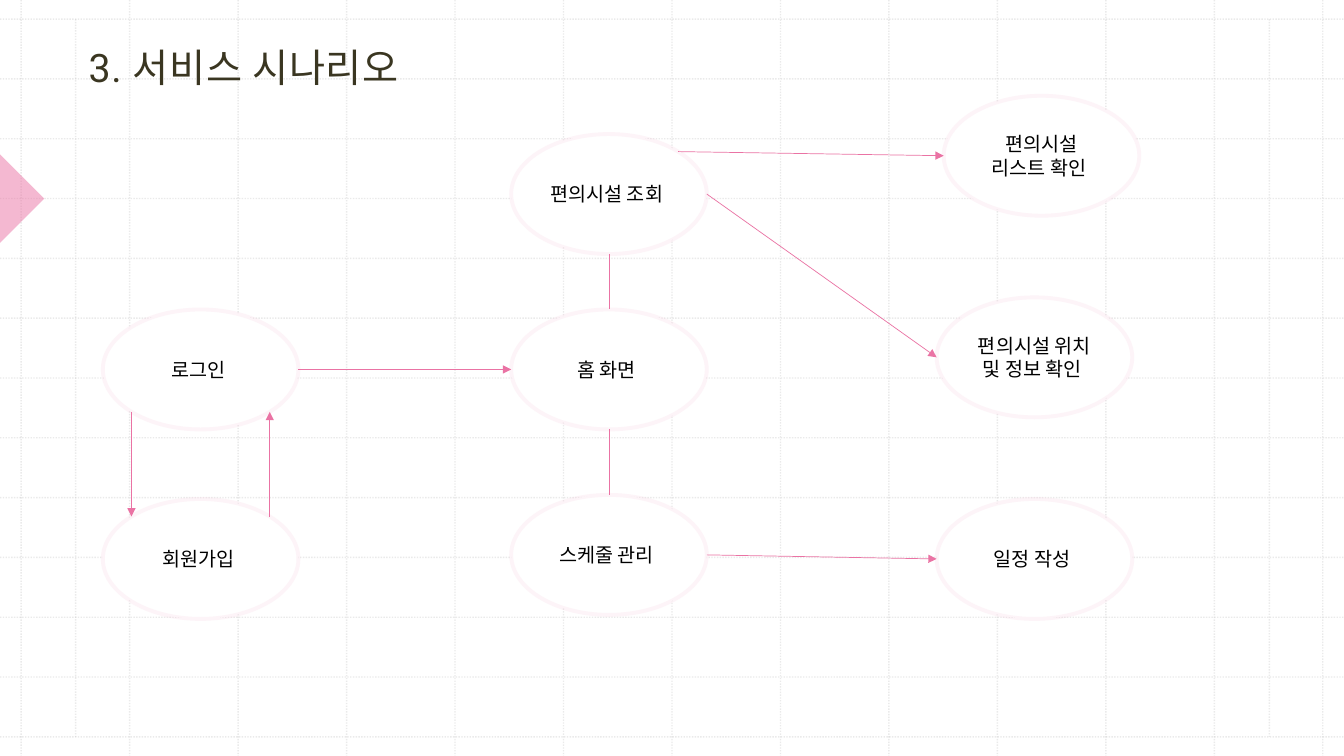
import math
from dataclasses import dataclass
from enum import IntEnum
from typing import Any, Optional

import pptx
import pptx.dml.color
import pptx.enum.dml
import pptx.enum.shapes
import pptx.enum.text
import pptx.oxml
import pptx.oxml.ns
import pptx.util
from lxml import etree

Inches = pptx.util.Inches
Pt = pptx.util.Pt
qn = pptx.oxml.ns.qn
Align = pptx.enum.text.PP_ALIGN
Anchor = pptx.enum.text.MSO_ANCHOR
Preset = pptx.enum.shapes.MSO_SHAPE


@dataclass(frozen=True)
class Theme:
    font: str = "Roboto"
    title_size: float = 28
    step_size: float = 14
    title: str = "3A3621"
    step_text: str = "000000"
    step_fill: str = "FFFFFF"
    step_edge: str = "F9D5E4"
    accent: str = "EA73A4"
    grid: str = "BCBCBC"


THEME = Theme()
SLIDE_WIDTH, SLIDE_HEIGHT = 13.33, 7.5
STEP_WIDTH, STEP_HEIGHT = 1.94, 1.19


class Site(IntEnum):
    TOP = 0
    TOP_LEFT = 1
    LEFT = 2
    BOTTOM_LEFT = 3
    BOTTOM = 4
    BOTTOM_RIGHT = 5
    RIGHT = 6
    TOP_RIGHT = 7


@dataclass(frozen=True)
class Step:
    text: str
    left: float
    top: float

    def point(self, site: Site) -> tuple[float, float]:
        angle = site * math.pi / 4
        return (self.left + STEP_WIDTH / 2 * (1 - math.sin(angle)),
                self.top + STEP_HEIGHT / 2 * (1 - math.cos(angle)))


@dataclass(frozen=True)
class Flow:
    source: str
    source_site: Site
    target: str
    target_site: Site
    arrow: bool = True


STEPS = {
    "login": Step("로그인 ", 1.02, 3.07),
    "signup": Step("회원가입 ", 1.02, 4.95),
    "home": Step("홈 화면 ", 5.07, 3.07),
    "search": Step("편의시설 조회 ", 5.07, 1.33),
    "location": Step("편의시설 위치 및 정보 확인 ", 9.29, 2.95),
    "list": Step("편의시설 리스트 확인 ", 9.36, 0.95),
    "schedule": Step("스케줄 관리 ", 5.07, 4.91),
    "entry": Step("일정 작성 ", 9.29, 4.95),
}

FLOWS = [
    Flow("login", Site.RIGHT, "home", Site.LEFT),
    Flow("login", Site.BOTTOM_LEFT, "signup", Site.TOP_LEFT),
    Flow("signup", Site.TOP_RIGHT, "login", Site.BOTTOM_RIGHT),
    Flow("schedule", Site.RIGHT, "entry", Site.LEFT),
    Flow("search", Site.RIGHT, "location", Site.LEFT),
    Flow("search", Site.TOP_RIGHT, "list", Site.LEFT),
    Flow("search", Site.BOTTOM, "home", Site.TOP, arrow=False),
    Flow("home", Site.BOTTOM, "schedule", Site.TOP, arrow=False),
]


def rgb(color: str) -> pptx.dml.color.RGBColor:
    return pptx.dml.color.RGBColor.from_string(color)


def set_opacity(shape: Any, percent: int) -> None:
    color = next(shape._element.spPr.iter(qn("a:srgbClr")))
    etree.SubElement(color, qn("a:alpha"), val=str(percent * 1000))


def write_text(shape: Any, text: str, *, size: float, color: str,
               align: Any = Align.LEFT, anchor: Any = Anchor.MIDDLE,
               insets: tuple[float, float, float, float] = (0.1, 0.05, 0.1, 0.05),
               line_spacing: Optional[float] = None, tracking: float = 0) -> None:
    frame = shape.text_frame
    frame.word_wrap = True
    frame.vertical_anchor = anchor
    (frame.margin_left, frame.margin_top,
     frame.margin_right, frame.margin_bottom) = map(Inches, insets)
    paragraph = frame.paragraphs[0]
    paragraph.alignment = align
    paragraph.line_spacing = line_spacing
    run = paragraph.add_run()
    run.text = text
    run.font.name = THEME.font
    run.font.size = Pt(size)
    run.font.color.rgb = rgb(color)
    if tracking:
        run.font._element.set("spc", str(round(tracking * 100)))


def draw_line(slide: Any, start: tuple[float, float], end: tuple[float, float],
              color: str, width: float) -> Any:
    line = slide.shapes.add_connector(
        pptx.enum.shapes.MSO_CONNECTOR.STRAIGHT,
        *map(Inches, (*start, *end)))
    line.line.color.rgb = rgb(color)
    line.line.width = Pt(width)
    etree.SubElement(line._element.spPr, qn("a:effectLst"))
    return line


def draw_grid(slide: Any) -> None:
    columns = [0.21 + i * 12.91 / 12 for i in range(13)]
    rows = [0.19 + i * 7.12 / 12 for i in range(13)]
    ends = [((x, 0), (x, SLIDE_HEIGHT)) for x in columns]
    ends += [((0, y), (SLIDE_WIDTH, y)) for y in rows]
    ends += [((x, rows[0]), (x, rows[-1])) for x in (0.75, 12.59)]
    for start, end in ends:
        rule = draw_line(slide, start, end, THEME.grid, 1)
        rule.line.dash_style = pptx.enum.dml.MSO_LINE.ROUND_DOT
        set_opacity(rule, 30)


def draw_marker(slide: Any) -> None:
    marker = slide.shapes.add_shape(
        Preset.RIGHT_TRIANGLE, *map(Inches, (-0.31, 1.66, 0.62, 0.62)))
    marker.rotation = 225
    marker.shadow.inherit = False
    marker.fill.solid()
    marker.fill.fore_color.rgb = rgb(THEME.accent)
    marker.line.fill.background()
    set_opacity(marker, 50)


def draw_step(slide: Any, step: Step) -> Any:
    oval = slide.shapes.add_shape(
        Preset.OVAL, *map(Inches, (step.left, step.top, STEP_WIDTH, STEP_HEIGHT)))
    oval.shadow.inherit = False
    oval.line.color.rgb = rgb(THEME.step_edge)
    oval.line.width = Pt(2.75)
    set_opacity(oval, 25)
    oval.fill.solid()
    oval.fill.fore_color.rgb = rgb(THEME.step_fill)
    write_text(oval, step.text, size=THEME.step_size, color=THEME.step_text,
               align=Align.CENTER)
    return oval


def draw_flow(slide: Any, flow: Flow, ovals: dict[str, Any]) -> None:
    link = draw_line(slide, STEPS[flow.source].point(flow.source_site),
                     STEPS[flow.target].point(flow.target_site), THEME.accent, 0.5)
    glue = link._element.find(".//" + qn("p:cNvCxnSpPr"))
    for tag, step, site in (("a:stCxn", flow.source, flow.source_site),
                            ("a:endCxn", flow.target, flow.target_site)):
        etree.SubElement(glue, qn(tag), id=str(ovals[step].shape_id),
                         idx=str(int(site)))
    if flow.arrow:
        outline = link._element.spPr.find(qn("a:ln"))
        etree.SubElement(outline, qn("a:tailEnd"), type="triangle")


def main() -> None:
    deck = pptx.Presentation()
    deck.slide_width, deck.slide_height = Inches(SLIDE_WIDTH), Inches(SLIDE_HEIGHT)
    slide = deck.slides.add_slide(deck.slide_layouts[6])
    draw_grid(slide)
    draw_marker(slide)
    title = slide.shapes.add_textbox(*map(Inches, (0.76, 0.15, 11.29, 0.85)))
    write_text(title, "3. 서비스 시나리오", size=THEME.title_size, color=THEME.title,
               anchor=Anchor.BOTTOM, insets=(0.12, 0.12, 0.12, 0.1),
               line_spacing=1.14, tracking=0.5)
    ovals = {key: draw_step(slide, step) for key, step in STEPS.items()}
    for flow in FLOWS:
        draw_flow(slide, flow, ovals)
    deck.save("out.pptx")


if __name__ == "__main__":
    main()
